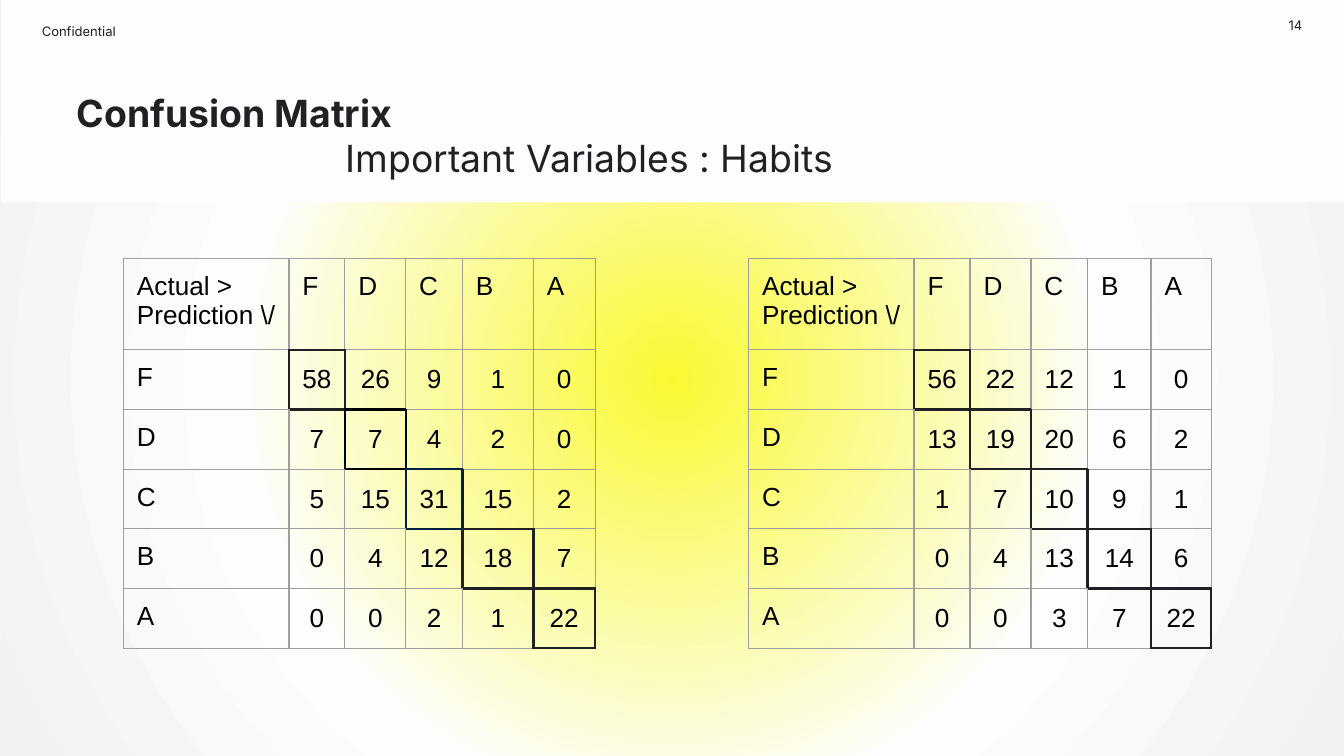
from dataclasses import dataclass

from pptx import Presentation
from pptx.dml.color import RGBColor
from pptx.enum.shapes import MSO_SHAPE
from pptx.enum.text import MSO_ANCHOR, MSO_AUTO_SIZE, PP_ALIGN
from pptx.oxml import parse_xml
from pptx.oxml.ns import nsdecls
from pptx.util import Pt

RECT = MSO_SHAPE.RECTANGLE
TOP, MIDDLE, BOTTOM = MSO_ANCHOR.TOP, MSO_ANCHOR.MIDDLE, MSO_ANCHOR.BOTTOM
LEFT, CENTER, RIGHT = PP_ALIGN.LEFT, PP_ALIGN.CENTER, PP_ALIGN.RIGHT
NO_FIT, GROW = MSO_AUTO_SIZE.NONE, MSO_AUTO_SIZE.SHAPE_TO_FIT_TEXT


@dataclass(frozen=True)
class Theme:
    """Colours, fonts and type sizes of the slide."""
    ink: str = "202124"
    black: str = "000000"
    navy: str = "002240"
    grid: str = "9E9E9E"
    paper: str = "FDFDFD"
    glow: str = "F9F933"
    edge: str = "F2F2F2"
    head_font: str = "Inter"
    table_font: str = "Arial"
    small: float = 7
    cell: float = 14
    title: float = 20
    thin: float = 0.75
    thick: float = 1.5


T = Theme()
GRADES = "FDCBA"
HEADER = ["Actual >", "Prediction \\/"]
ROW_HEIGHTS = [49] + [32] * len(GRADES)
MATRICES = [
    dict(left=66.2, cols=[88.6, 30, 32.6, 30.4, 38, 33.1],
         marks=[T.ink, T.black, T.navy, T.ink, T.ink],
         counts=[[58, 26, 9, 1, 0], [7, 7, 4, 2, 0], [5, 15, 31, 15, 2],
                 [0, 4, 12, 18, 7], [0, 0, 2, 1, 22]]),
    dict(left=401.1, cols=[88.6, 30, 32.6, 30.4, 34, 32.2],
         marks=[T.ink] * len(GRADES),
         counts=[[56, 22, 12, 1, 0], [13, 19, 20, 6, 2], [1, 7, 10, 9, 1],
                 [0, 4, 13, 14, 6], [0, 0, 3, 7, 22]]),
]


def add_run(p, text, size, font, color, bold=False):
    """Add one formatted run to a paragraph."""
    r = p.add_run()
    r.text = text
    r.font.size, r.font.name, r.font.bold = Pt(size), font, bold
    r.font.color.rgb = RGBColor.from_string(color)


def set_frame(tf, anchor, inset, auto_size):
    """Set wrapping, anchor and vertical inset of a text frame."""
    tf.word_wrap, tf.auto_size, tf.vertical_anchor = True, auto_size, anchor
    tf.margin_left = tf.margin_right = 0
    tf.margin_top = tf.margin_bottom = Pt(inset)


def set_background(s):
    """Give the slide a radial gradient background."""
    stops = "".join(
        f'<a:gs pos="{pos * 1000}"><a:srgbClr val="{color}"/></a:gs>'
        for pos, color in [(0, T.glow), (56, T.paper), (100, T.edge)])
    s.element.cSld.insert(0, parse_xml(
        f'<p:bg {nsdecls("p", "a")}><p:bgPr><a:gradFill><a:gsLst>{stops}</a:gsLst>'
        '<a:path path="circle"><a:fillToRect l="50000" t="50000" r="50000" b="50000"/>'
        '</a:path></a:gradFill><a:effectLst/></p:bgPr></p:bg>'))


def add_band(s):
    """Add the pale header band behind the title."""
    band = s.shapes.add_shape(RECT, Pt(0.5), 0, Pt(720), Pt(108.5))
    band.shadow.inherit = False
    band.fill.solid()
    band.fill.fore_color.rgb = RGBColor.from_string(T.paper)
    band.line.fill.background()
    s.shapes.title.element.addprevious(band.element)


def set_title(s):
    """Place the title and write its two lines."""
    title = s.shapes.title
    title.left, title.top, title.width, title.height = Pt(41), Pt(32.4), Pt(487), Pt(71.3)
    title.fill.solid()
    title.fill.fore_color.rgb = RGBColor.from_string(T.paper)
    tf = title.text_frame
    set_frame(tf, BOTTOM, 7.2, NO_FIT)
    p = tf.paragraphs[0]
    p.alignment = LEFT
    add_run(p, "Confusion Matrix", T.title, T.head_font, T.ink, bold=True)
    p = tf.add_paragraph()
    p.alignment = LEFT
    pPr = p._p.get_or_add_pPr()
    pPr.set("marL", str(Pt(144)))
    pPr.set("indent", "0")
    add_run(p, "Important Variables : Habits", T.title, T.head_font, T.ink)


def add_label(s, text, left, width, align, anchor, inset, auto_size):
    """Add a small label in the top margin."""
    tf = s.shapes.add_textbox(Pt(left), Pt(5), Pt(width), Pt(23)).text_frame
    set_frame(tf, anchor, inset, auto_size)
    p = tf.paragraphs[0]
    p.alignment = align
    add_run(p, text, T.small, T.head_font, T.ink)


def set_borders(cell, row, col, marks):
    """Draw thick borders on every edge shared with a diagonal cell."""
    neighbours = dict(L=(row, col - 1), R=(row, col + 1), T=(row - 1, col), B=(row + 1, col))
    tcPr = cell._tc.get_or_add_tcPr()
    for side, other in neighbours.items():
        mark = next((marks[r - 1] for r, c in [(row, col), other]
                     if r == c and 1 <= r <= len(marks)), None)
        width = T.thick if mark else T.thin
        tcPr.append(parse_xml(
            f'<a:ln{side} {nsdecls("a")} w="{Pt(width)}"><a:solidFill>'
            f'<a:srgbClr val="{mark or T.grid}"/></a:solidFill></a:ln{side}>'))


def set_cell(cell, lines, is_count):
    """Write a cell, with counts centred and labels at the top left."""
    cell.fill.background()
    cell.margin_left = cell.margin_right = cell.margin_top = cell.margin_bottom = Pt(7.2)
    cell.vertical_anchor = MIDDLE if is_count else TOP
    tf = cell.text_frame
    for i, line in enumerate(lines):
        p = tf.add_paragraph() if i else tf.paragraphs[0]
        p.alignment = CENTER if is_count else LEFT
        add_run(p, line, T.cell, T.table_font, T.black)


def add_matrix(s, left, cols, marks, counts):
    """Add a confusion matrix with its diagonal outlined."""
    rows = [[HEADER] + [[g] for g in GRADES]]
    rows += [[[g]] + [[str(n)] for n in line] for g, line in zip(GRADES, counts)]
    table = s.shapes.add_table(len(rows), len(cols), Pt(left), Pt(138.4),
                               Pt(sum(cols)), Pt(sum(ROW_HEIGHTS))).table
    table.first_row = table.horz_banding = False
    for column, width in zip(table.columns, cols):
        column.width = Pt(width)
    for row, height in zip(table.rows, ROW_HEIGHTS):
        row.height = Pt(height)
    for r, row in enumerate(rows):
        for c, lines in enumerate(row):
            cell = table.cell(r, c)
            set_borders(cell, r, c, marks)
            set_cell(cell, lines, r > 0 and c > 0)


def main():
    """Build the slide and save it."""
    prs = Presentation()
    prs.slide_width, prs.slide_height = Pt(720), Pt(405)
    s = prs.slides.add_slide(prs.slide_layouts[5])
    set_background(s)
    add_band(s)
    set_title(s)
    add_label(s, "Confidential", 22.4, 71.3, LEFT, MIDDLE, 0, NO_FIT)
    add_label(s, "14", 654.5, 43.2, RIGHT, TOP, 7.2, GROW)
    for matrix in MATRICES:
        add_matrix(s, **matrix)
    prs.save("out.pptx")


if __name__ == "__main__":
    main()
